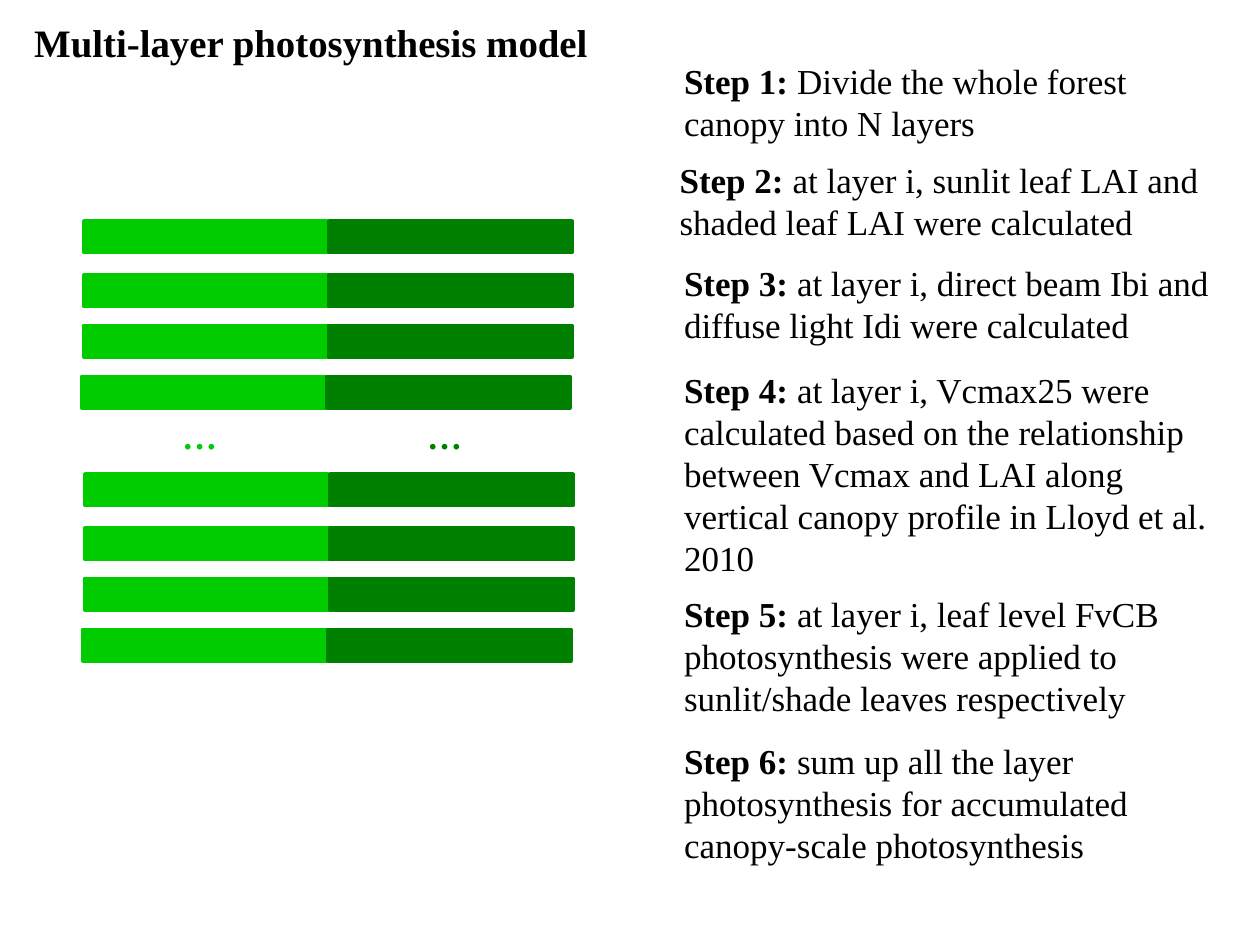
"""Build the slide on the multi-layer photosynthesis model."""
from dataclasses import dataclass

from pptx import Presentation
from pptx.dml.color import RGBColor
from pptx.enum.shapes import MSO_SHAPE as Preset
from pptx.enum.text import MSO_ANCHOR as Anchor, MSO_AUTO_SIZE as AutoSize, PP_ALIGN as Align
from pptx.util import Cm, Pt


@dataclass(frozen=True)
class Theme:
    """Colours, font and type sizes of the slide."""
    ink: RGBColor = RGBColor(0x00, 0x00, 0x00)
    sunlit: RGBColor = RGBColor(0x00, 0xCC, 0x00)
    shaded: RGBColor = RGBColor(0x00, 0x80, 0x00)
    font: str = "Times New Roman"
    title_size: float = 22.2
    body_size: float = 20
    outline: float = 2


THEME = Theme()
LEAF_WIDTH, LEAF_HEIGHT, SHADED_OFFSET = 4.9, 0.64, 4.94
CANOPY_PARTS = [(1.69, 4.45), (1.71, 9.55)]
LAYERS = [(0, 0), (0, 1.09), (0, 2.11), (-0.04, 3.14)]
GAP_MARKS = [(3.42, THEME.sunlit), (8.36, THEME.shaded)]
STEPS = [
    (13.54, 1.07, 1.96, "Divide the whole forest canopy into N layers"),
    (13.45, 3.08, 1.96, "at layer i, sunlit leaf LAI and shaded leaf LAI were calculated"),
    (13.54, 5.14, 1.96, "at layer i, direct beam Ibi and diffuse light Idi were calculated"),
    (13.54, 7.3, 4.52, "at layer i, Vcmax25 were calculated based on the relationship "
                       "between Vcmax and LAI along vertical canopy profile in Lloyd et al. 2010"),
    (13.54, 11.82, 2.82, "at layer i, leaf level FvCB photosynthesis were applied to "
                         "sunlit/shade leaves respectively"),
    (13.54, 14.78, 2.82, "sum up all the layer photosynthesis for accumulated "
                         "canopy-scale photosynthesis"),
]


def write(paragraph, text, *, size=THEME.body_size, color=THEME.ink, bold=False):
    """Append formatted text to a paragraph."""
    run = paragraph.add_run()
    run.text = text
    run.font.name = THEME.font
    run.font.size = Pt(size)
    run.font.bold = bold
    run.font.color.rgb = color


def add_text_frame(slide, left, top, width, height, *, wrap=True, fit=AutoSize.SHAPE_TO_FIT_TEXT):
    """Add an empty text box and return its frame."""
    frame = slide.shapes.add_textbox(Cm(left), Cm(top), Cm(width), Cm(height)).text_frame
    frame.word_wrap = wrap
    frame.auto_size = fit
    return frame


def add_title(slide, text):
    """Add the centred slide title."""
    frame = add_text_frame(slide, 0, 0, 12.55, 1.7, fit=AutoSize.NONE)
    frame.vertical_anchor = Anchor.MIDDLE
    heading = frame.paragraphs[0]
    heading.alignment = Align.CENTER
    write(heading, text, size=THEME.title_size, bold=True)


def add_leaf(slide, left, top, color):
    """Add the sunlit or shaded half of one canopy layer."""
    leaf = slide.shapes.add_shape(Preset.RECTANGLE, Cm(left), Cm(top), Cm(LEAF_WIDTH), Cm(LEAF_HEIGHT))
    leaf.shadow.inherit = False
    leaf.fill.solid()
    leaf.fill.fore_color.rgb = color
    leaf.line.color.rgb = color
    leaf.line.width = Pt(THEME.outline)


def add_canopy(slide):
    """Add both groups of layers and the dots between them."""
    for offset, color in ((0, THEME.sunlit), (SHADED_OFFSET, THEME.shaded)):
        for left, top in CANOPY_PARTS:
            for shift, drop in LAYERS:
                add_leaf(slide, left + offset + shift, top + drop, color)
    for left, color in GAP_MARKS:
        dots = add_text_frame(slide, left, 8.23, 1.22, 1.12, wrap=False)
        write(dots.paragraphs[0], "…", color=color, bold=True)


def add_step(slide, number, left, top, height, instruction):
    """Add one numbered step of the method."""
    step = add_text_frame(slide, left, top, 11.43, height).paragraphs[0]
    write(step, f"Step {number}: ", bold=True)
    write(step, instruction)


def main():
    """Build and save the slide."""
    deck = Presentation()
    deck.slide_width, deck.slide_height = Cm(25.4), Cm(19.05)
    slide = deck.slides.add_slide(deck.slide_layouts[6])
    add_title(slide, "Multi-layer photosynthesis model")
    add_canopy(slide)
    for number, step in enumerate(STEPS, start=1):
        add_step(slide, number, *step)
    deck.save("out.pptx")


if __name__ == "__main__":
    main()
